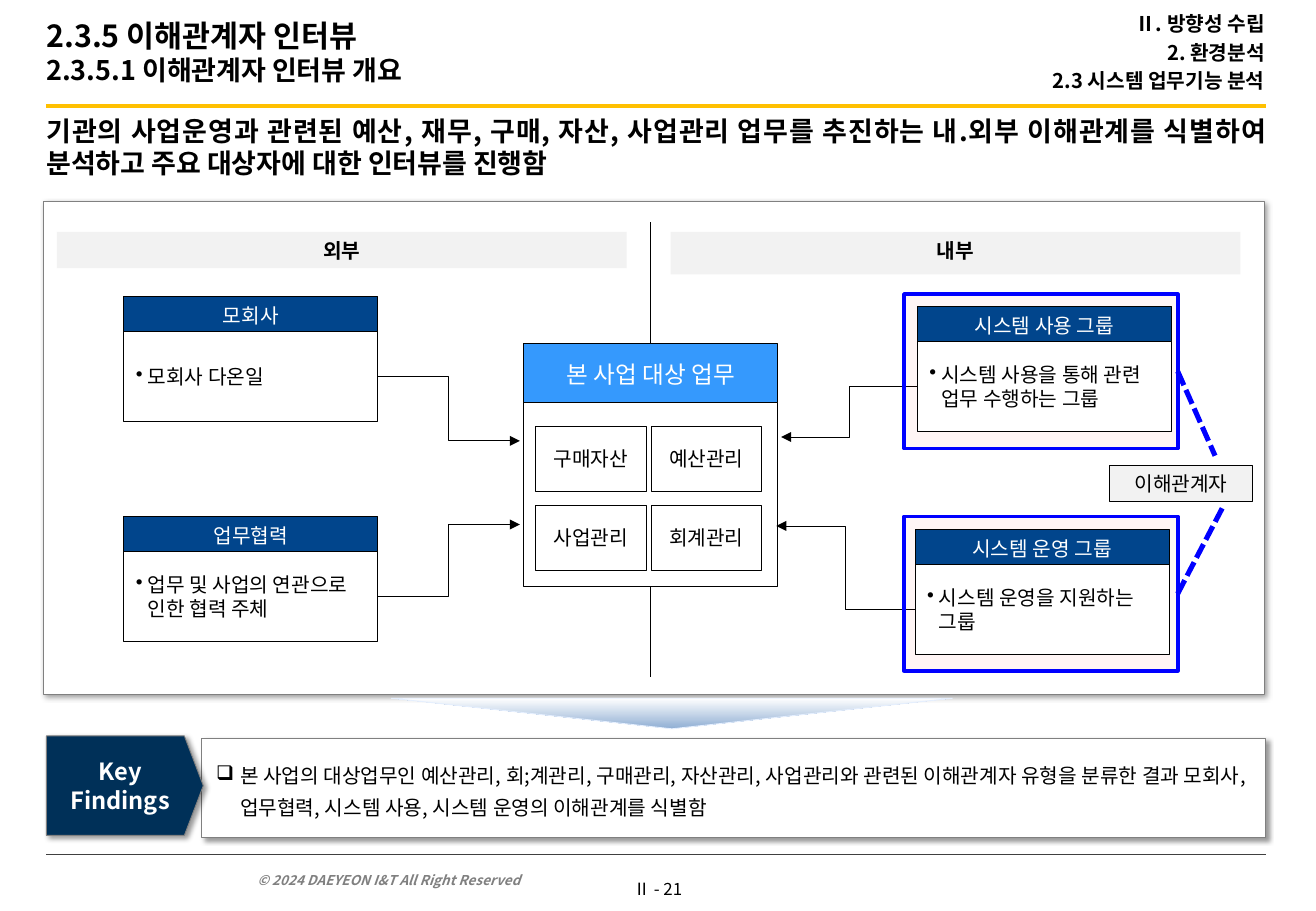
from itertools import product

from lxml.etree import SubElement
from pptx import Presentation
from pptx.dml.color import RGBColor
from pptx.enum.dml import MSO_LINE
from pptx.enum.shapes import MSO_CONNECTOR as LINK, MSO_SHAPE as SHAPE
from pptx.enum.text import MSO_ANCHOR as ANCHOR, PP_ALIGN as ALIGN
from pptx.oxml.ns import qn
from pptx.util import Cm, Pt

FONT = "Noto Sans CJK KR"
BLACK = RGBColor(0x00, 0x00, 0x00)
WHITE = RGBColor(0xFF, 0xFF, 0xFF)
GRAY = RGBColor(0x80, 0x80, 0x80)
DARK_GRAY = RGBColor(0x40, 0x40, 0x40)
PALE_GRAY = RGBColor(0xF2, 0xF2, 0xF2)
GOLD = RGBColor(0xFF, 0xC0, 0x00)
NAVY = RGBColor(0x00, 0x30, 0x58)
DEEP_BLUE = RGBColor(0x01, 0x45, 0x8C)
SKY_BLUE = RGBColor(0x35, 0x99, 0xFD)
PURE_BLUE = RGBColor(0x00, 0x00, 0xFF)
STEEL_BLUE = RGBColor(0x8F, 0xAE, 0xD3)
ICE_BLUE = RGBColor(0xE5, 0xEF, 0xFE)
RED = RGBColor(0xFF, 0x00, 0x00)
INSETS = (0.25, 0.13, 0.25, 0.13)


class SlideBuilder:
    """Draws styled elements on one slide, with all lengths in centimetres."""

    def __init__(self, slide):
        self.slide = slide

    def fill_text(self, holder, text, sizes=(12,), color=BLACK, bold=False, italic=False,
                  align=ALIGN.CENTER, anchor=ANCHOR.MIDDLE, insets=INSETS, wrap=True,
                  bullet=None, hang=0.25, spacing=None, gap=None):
        frame = holder.text_frame
        frame.text = text
        frame.word_wrap = wrap
        frame.vertical_anchor = anchor
        (frame.margin_left, frame.margin_top,
         frame.margin_right, frame.margin_bottom) = map(Cm, insets)
        for number, paragraph in enumerate(frame.paragraphs):
            paragraph.alignment = align
            if bullet:
                props = paragraph._p.get_or_add_pPr()
                props.set("marL", str(Cm(hang)))
                props.set("indent", str(-Cm(hang)))
                SubElement(props, qn("a:buChar"), char=bullet)
            if spacing:
                paragraph.line_spacing = spacing
            if gap and number:
                paragraph.space_before = Pt(gap)
            for index, run in enumerate(paragraph.runs):
                font = run.font
                font.size = Pt(sizes[min(index, len(sizes) - 1)])
                font.name = FONT
                font.bold = bold
                font.italic = italic
                font.color.rgb = color
                SubElement(run._r.get_or_add_rPr(), qn("a:ea"), typeface=FONT)

    def text(self, box, text, **style):
        holder = self.slide.shapes.add_textbox(*map(Cm, box))
        self.fill_text(holder, text, **style)

    def shape(self, box, fill, line=BLACK, width=0.5, kind=SHAPE.RECTANGLE,
              text=None, shadow=False, alpha=None, **style):
        shape = self.slide.shapes.add_shape(kind, *map(Cm, box))
        shape.shadow.inherit = False
        shape.fill.solid()
        shape.fill.fore_color.rgb = fill
        if alpha:
            tint = shape._element.spPr.find(qn("a:solidFill"))[0]
            SubElement(tint, qn("a:alpha"), val=str(alpha * 1000))
        if line is None:
            shape.line.fill.background()
        else:
            shape.line.color.rgb = line
            shape.line.width = Pt(width)
        if shadow:
            effects = shape._element.spPr.find(qn("a:effectLst"))
            outer = SubElement(effects, qn("a:outerShdw"), blurRad=str(Pt(3)),
                               dist=str(Pt(2)), dir="2700000", algn="tl", rotWithShape="0")
            shade = SubElement(outer, qn("a:srgbClr"), val=str(BLACK))
            SubElement(shade, qn("a:alpha"), val="40000")
        if text:
            self.fill_text(shape, text, **style)
        return shape

    def line(self, start, end, color=BLACK, width=0.5, kind=LINK.STRAIGHT,
             dashed=False, arrow=False, origin=None):
        line = self.slide.shapes.add_connector(kind, *map(Cm, start + end))
        if origin is not None:
            line.begin_connect(origin, 3)
        line.line.color.rgb = color
        line.line.width = Pt(width)
        if dashed:
            line.line.dash_style = MSO_LINE.SQUARE_DOT
        if arrow:
            SubElement(line.line._get_or_add_ln(), qn("a:tailEnd"), type="triangle")
        SubElement(line._element.spPr, qn("a:effectLst"))

    def card(self, left, top, heading, detail):
        self.shape((left, top, 5.31, 0.81), DEEP_BLUE, text=heading, color=WHITE)
        self.shape((left, top + 0.74, 5.31, 1.88), WHITE, text=detail,
                   align=ALIGN.LEFT, bullet="•")

    def down_arrow(self, box):
        arrow = self.shape(box, WHITE, ICE_BLUE, kind=SHAPE.ISOSCELES_TRIANGLE)
        arrow.rotation = 180
        arrow.fill.gradient()
        arrow.fill.gradient_angle = 270
        for stop, (position, color) in zip(arrow.fill.gradient_stops,
                                           ((0, STEEL_BLUE), (1, WHITE))):
            stop.position = position
            stop.color.rgb = color


def main():
    deck = Presentation()
    deck.slide_width, deck.slide_height = Cm(27.51), Cm(19.05)
    page = SlideBuilder(deck.slides.add_slide(deck.slide_layouts[6]))

    page.line((0.97, 2.21), (26.47, 2.21), GOLD, 2.5)
    page.line((0.97, 17.86), (26.47, 17.86), DARK_GRAY)
    page.text((5.13, 18.01, 7.67, 0.69), "© 2024 DAEYEON I&T All Right Reserved", sizes=(8,),
              color=GRAY, bold=True, italic=True, align=ALIGN.LEFT, anchor=ANCHOR.BOTTOM)
    page.text((13, 18.24, 1.5, 0.69), "Ⅱ - 21", sizes=(10,), wrap=False,
              anchor=ANCHOR.TOP, insets=(0.15, 0.13, 0.15, 0.13))
    page.text((0.97, 0, 13.21, 2.16), "2.3.5 이해관계자 인터뷰\v2.3.5.1 이해관계자 인터뷰 개요",
              sizes=(18, 16), bold=True, align=ALIGN.LEFT, insets=(0, 0.13, 0.25, 0.13))
    page.text((17.45, 0, 8.99, 2.18), "Ⅱ. 방향성 수립\n2. 환경분석\n2.3 시스템 업무기능 분석",
              bold=True, align=ALIGN.RIGHT, insets=(0, 0.13, 0, 0.13), gap=2.4)
    page.text((0.97, 2.39, 25.5, 1.73),
              "기관의 사업운영과 관련된 예산, 재무, 구매, 자산, 사업관리 업무를 추진하는 "
              "내.외부 이해관계를 식별하여 분석하고 주요 대상자에 대한 인터뷰를 진행함",
              sizes=(16,), bold=True, align=ALIGN.JUSTIFY, anchor=ANCHOR.TOP, insets=(0,) * 4)

    page.shape((0.91, 4.22, 25.53, 10.31), WHITE, GRAY, shadow=True)
    page.line((13.59, 4.65), (13.59, 14.15))
    for left, height, side in ((1.19, 0.76, "외부"), (14.02, 0.89, "내부")):
        page.shape((left, 4.85, 11.91, height), PALE_GRAY, None, text=side,
                   bold=True, anchor=ANCHOR.TOP)

    page.shape((10.95, 7.19, 5.31, 1.27), SKY_BLUE, text="본 사업 대상 업무",
               sizes=(14,), color=WHITE)
    page.shape((10.95, 8.41, 5.31, 3.86), WHITE)
    tasks = ("구매자산", "예산관리", "사업관리", "회계관리")
    for (row, column), task in zip(product(range(2), repeat=2), tasks):
        page.shape((11.2 + 2.41 * column, 8.92 + 1.65 * row, 2.31, 1.35), WHITE, text=task)

    page.card(2.59, 6.2, "모회사", "모회사 다온일")
    page.card(2.59, 10.8, "업무협력", "업무 및 사업의 연관으로 인한 협력 주체")
    for start, end in (((7.9, 7.87), (10.87, 9.22)), ((7.9, 12.47), (10.87, 10.97)),
                       ((19.18, 8.08), (16.33, 9.14)), ((19.13, 12.75), (16.23, 11))):
        page.line(start, end, kind=LINK.ELBOW, arrow=True)

    for top, middle, end in ((6.15, 7.77, (25.4, 9.53)), (10.8, 12.42, (25.58, 10.57))):
        group = page.shape((18.9, top, 5.72, 3.23), RED, PURE_BLUE, 2.25, alpha=4)
        page.line((24.62, middle), end, PURE_BLUE, 3, dashed=True, origin=group)
    page.shape((23.19, 9.73, 3, 0.76), PALE_GRAY, width=0.75, text="이해관계자",
               anchor=ANCHOR.TOP)
    page.card(19.18, 6.4, "시스템 사용 그룹", "시스템 사용을 통해 관련 업무 수행하는 그룹")
    page.card(19.13, 11.07, "시스템 운영 그룹", "시스템 운영을 지원하는 그룹")

    page.shape((4.22, 15.44, 22.23, 2.08), WHITE, GRAY, shadow=True,
               text="본 사업의 대상업무인 예산관리, 회;계관리, 구매관리, 자산관리, 사업관리와 "
                    "관련된 이해관계자 유형을 분류한 결과 모회사, 업무협력, 시스템 사용, "
                    "시스템 운영의 이해관계를 식별함",
               align=ALIGN.LEFT, insets=(0.3, 0.1, 0.2, 0.1), bullet="❑", hang=0.5, spacing=1.3)
    key = page.shape((0.97, 15.39, 3.28, 2.08), NAVY, GRAY, kind=SHAPE.PENTAGON, shadow=True,
                     text="Key Findings", sizes=(14,), color=WHITE, bold=True)
    key.adjustments[0] = 0.19
    page.down_arrow((8.18, 14.6, 11.73, 0.64))

    deck.save("out.pptx")


if __name__ == "__main__":
    main()
